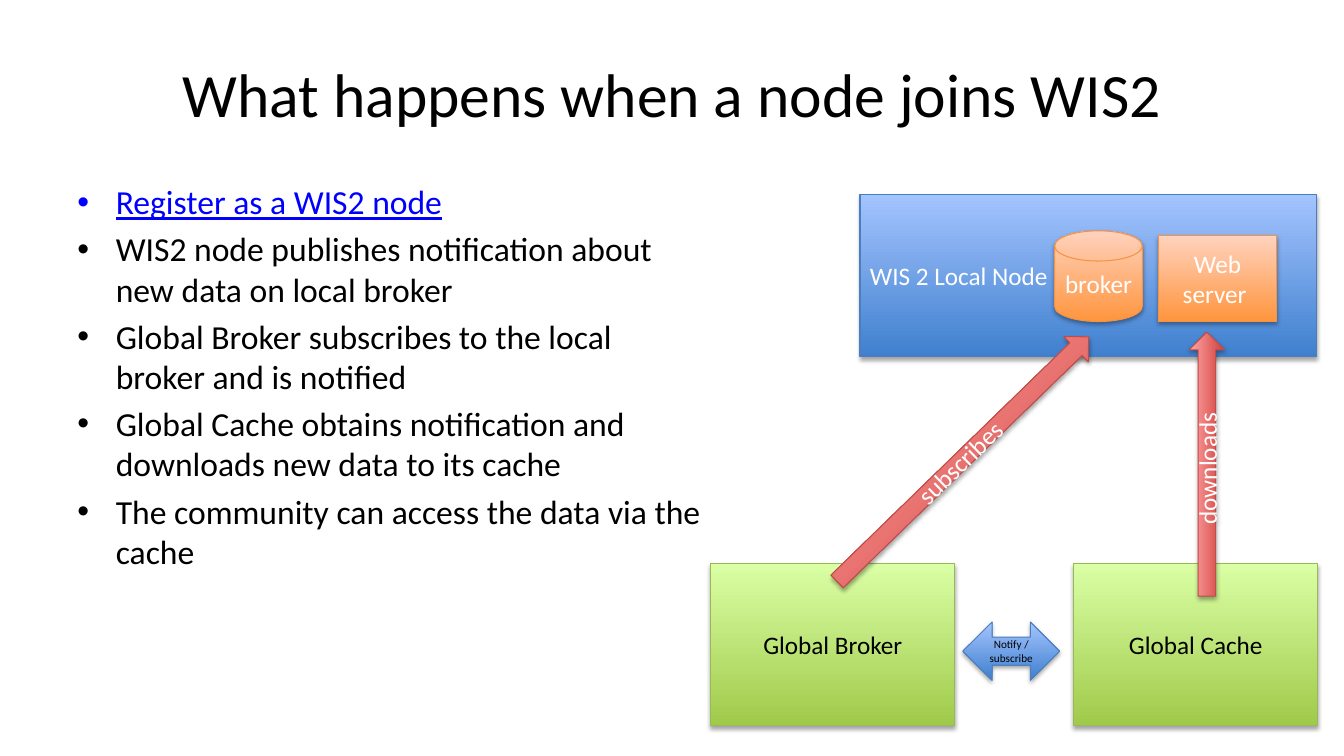
from collections import namedtuple
from dataclasses import dataclass

from lxml.etree import SubElement
from pptx import Presentation
from pptx.dml.color import RGBColor
from pptx.enum.shapes import MSO_SHAPE as Shape
from pptx.enum.text import MSO_ANCHOR as Anchor, PP_ALIGN as Align
from pptx.oxml.ns import qn
from pptx.util import Emu, Pt

Box = namedtuple("Box", "left top width height")
Look = namedtuple("Look", "dark light line")


@dataclass(frozen=True)
class Theme:
    """Colours, font and type sizes of the slide."""
    font: str = "Calibri"
    black: str = "000000"
    white: str = "FFFFFF"
    link: str = "0000FF"
    title_size: int = 44
    body_size: int = 24
    label_size: int = 18
    small_size: int = 8
    blue: Look = Look("3F80CE", "A4C4FF", "4B7EBC")
    orange: Look = Look("FF953E", "FFD2BD", "F69240")
    green: Look = Look("A0CA4A", "DAFFA5", "98B955")
    red: Look = Look("D1403C", "FFA6A5", "BF4C48")


THEME = Theme()
PX = 9144
TITLE = "What happens when a node joins WIS2"
STEPS = [
    "Register as a WIS2 node",
    "WIS2 node publishes notification about new data on local broker",
    "Global Broker subscribes to the local broker and is notified",
    "Global Cache obtains notification and downloads new data to its cache",
    "The community can access the data via the cache",
]


def px(count):
    """Turn whole pixels, 100 to the inch, into EMU."""
    return Emu(count * PX)


def inside(box, left, top, width, height):
    """Return a box placed relative to another box."""
    return Box(box.left + left, box.top + top, width, height)


def write(para, text, size=THEME.label_size, color=THEME.white,
          align=Align.CENTER, underline=None):
    """Add formatted text to a paragraph."""
    para.alignment = align
    span = para.add_run()
    span.text = text
    span.font.name = THEME.font
    span.font.size = Pt(size)
    span.font.underline = underline
    span.font.color.rgb = RGBColor.from_string(color)


def add_bullet(para):
    """Give a paragraph a hanging round bullet."""
    settings = para._p.get_or_add_pPr()
    settings.set("marL", str(px(38)))
    settings.set("indent", str(-px(38)))
    SubElement(settings, qn("a:buFont"), typeface="Arial")
    SubElement(settings, qn("a:buChar"), char="•")


def add_shadow(shape):
    """Cast a soft shadow straight down."""
    shape.shadow.inherit = False
    effects = shape._element.spPr.find(qn("a:effectLst"))
    shadow = SubElement(effects, qn("a:outerShdw"), blurRad="40000",
                        dist="23000", dir="5400000", rotWithShape="0")
    color = SubElement(shadow, qn("a:srgbClr"), val=THEME.black)
    SubElement(color, qn("a:alpha"), val="35000")


def add_text_frame(page, box):
    """Add a wrapping text box and return its frame."""
    frame = page.shapes.add_textbox(*map(px, box)).text_frame
    frame.word_wrap = True
    return frame


def add_block(page, kind, box, look, text, rotation=0, **text_format):
    """Add a shaded shape with a label."""
    shape = page.shapes.add_shape(kind, *map(px, box))
    shape.rotation = rotation
    shape.fill.gradient()
    shape.fill.gradient_angle = 90
    for stop, color in zip(shape.fill.gradient_stops, (look.dark, look.light)):
        stop.color.rgb = RGBColor.from_string(color)
    shape.line.color.rgb = RGBColor.from_string(look.line)
    shape.line.width = Pt(0.75)
    add_shadow(shape)
    frame = shape.text_frame
    frame.word_wrap = True
    frame.vertical_anchor = Anchor.MIDDLE
    write(frame.paragraphs[0], text, **text_format)
    return shape


def add_title(page, box):
    """Place the centred slide title."""
    frame = add_text_frame(page, box)
    frame.vertical_anchor = Anchor.MIDDLE
    write(frame.paragraphs[0], TITLE, size=THEME.title_size, color=THEME.black)


def add_steps(page, box):
    """Place the bulleted steps, the first one styled as a link."""
    frame = add_text_frame(page, box)
    for index, step in enumerate(STEPS):
        para = frame.add_paragraph() if index else frame.paragraphs[0]
        para.space_before = Pt(4.8)
        add_bullet(para)
        write(para, step, size=THEME.body_size, align=Align.LEFT,
              color=THEME.black if index else THEME.link,
              underline=None if index else True)


def add_local_node(page, box):
    """Place the local node with its broker and web server."""
    add_block(page, Shape.RECTANGLE, box, THEME.blue, "WIS 2 Local Node",
              align=Align.LEFT)
    add_block(page, Shape.FLOWCHART_MAGNETIC_DISK,
              inside(box, 193, 36, 87, 90), THEME.orange, "broker")
    add_block(page, Shape.RECTANGLE, inside(box, 296, 41, 117, 85),
              THEME.orange, "Web server ")


def add_diagram(page, box):
    """Place the nodes and the arrows between them."""
    add_local_node(page, inside(box, 148, 0, 453, 161))
    for column, name in enumerate(("Global Broker", "Global Cache")):
        add_block(page, Shape.RECTANGLE,
                  inside(box, column * 360, 366, 242, 161),
                  THEME.green, name, color=THEME.black)
    add_block(page, Shape.RIGHT_ARROW, inside(box, 76, 245, 348, 35),
              THEME.red, "subscribes", rotation=315.8)
    exchange = add_block(page, Shape.LEFT_RIGHT_ARROW,
                         inside(box, 250, 424, 96, 58), THEME.blue,
                         "Notify / subscribe", size=THEME.small_size,
                         color=THEME.black)
    exchange.adjustments[0] = 0.48
    add_block(page, Shape.RIGHT_ARROW, inside(box, 361, 250, 262, 35),
              THEME.red, "downloads", rotation=270)


def main():
    """Build and save the slide."""
    deck = Presentation()
    deck.slide_width, deck.slide_height = px(1333), px(750)
    page = deck.slides.add_slide(deck.slide_layouts[6])
    add_title(page, Box(67, 30, 1200, 125))
    add_steps(page, Box(67, 175, 638, 417))
    add_diagram(page, Box(705, 193, 601, 527))
    deck.save("out.pptx")


if __name__ == "__main__":
    main()
